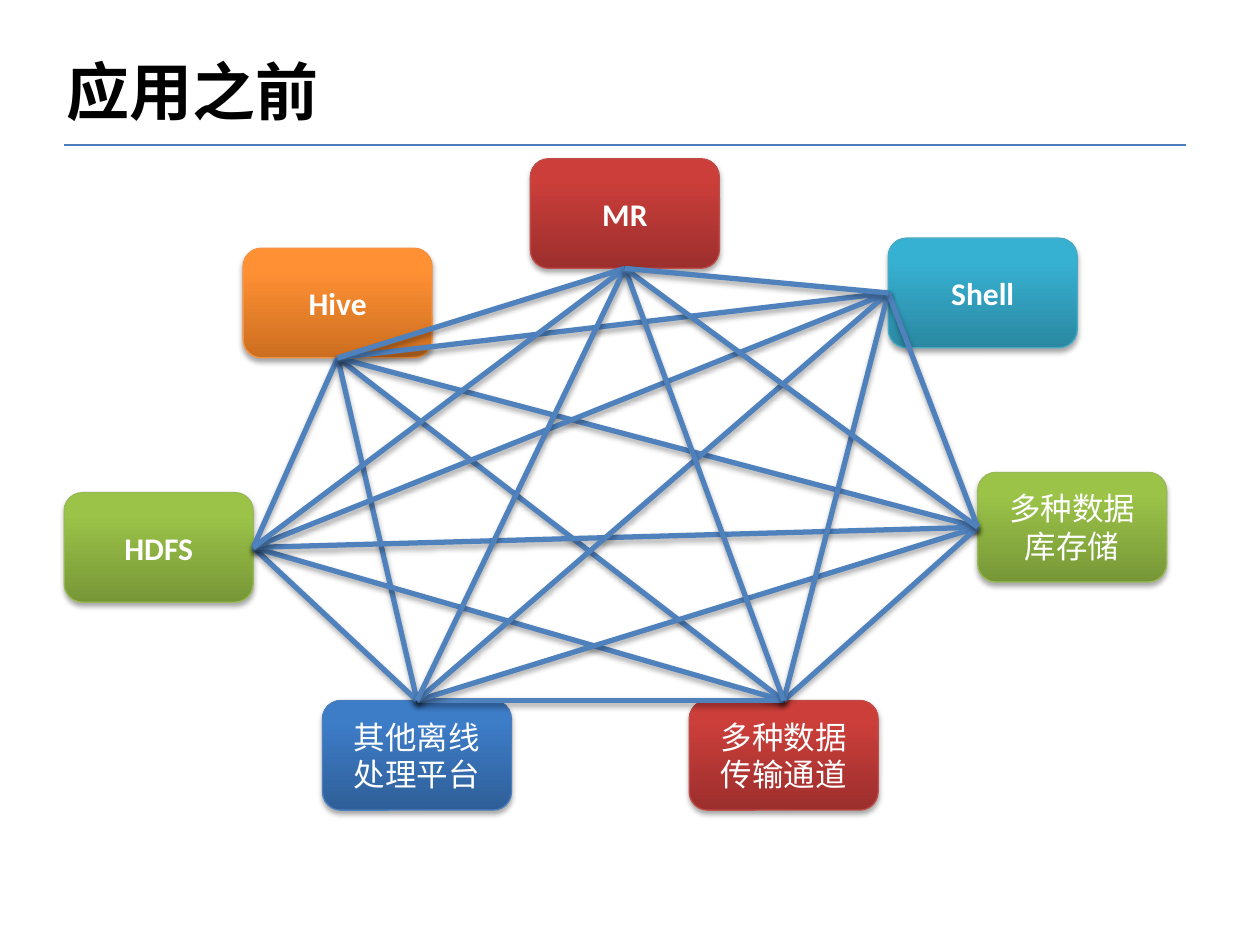
from itertools import combinations

from lxml.etree import SubElement
from pptx import Presentation
from pptx.dml.color import RGBColor
from pptx.enum.shapes import MSO_CONNECTOR, MSO_SHAPE
from pptx.enum.text import MSO_ANCHOR, PP_ALIGN
from pptx.oxml import parse_xml
from pptx.oxml.ns import nsdecls, qn
from pptx.util import Inches, Pt

LATIN_FONT = "Calibri"
CHINESE_FONT = "Noto Sans CJK SC"
BLACK = RGBColor(0x00, 0x00, 0x00)
WHITE = RGBColor(0xFF, 0xFF, 0xFF)
LINK_BLUE = RGBColor(0x4F, 0x81, 0xBD)
RULE_BLUE = RGBColor(0x4B, 0x7E, 0xBC)

# Each palette: gradient bottom, gradient top, outline
ORANGE = RGBColor(0xCC, 0x6E, 0x20), RGBColor(0xFF, 0x90, 0x34), RGBColor(0xF6, 0x92, 0x40)
GREEN = RGBColor(0x77, 0x97, 0x37), RGBColor(0x9B, 0xC3, 0x48), RGBColor(0x98, 0xB9, 0x55)
BLUE = RGBColor(0x2F, 0x5F, 0x99), RGBColor(0x3D, 0x7C, 0xC7), RGBColor(0x4B, 0x7E, 0xBC)
RED = RGBColor(0x9C, 0x2F, 0x2D), RGBColor(0xCB, 0x3E, 0x3A), RGBColor(0xBF, 0x4C, 0x48)
TEAL = RGBColor(0x2A, 0x88, 0xA2), RGBColor(0x37, 0xB1, 0xD2), RGBColor(0x46, 0xAA, 0xC5)

# Connection sites of a rounded rectangle
TOP, LEFT, BOTTOM, RIGHT = range(4)

NODE_WIDTH, NODE_HEIGHT = Inches(1.5), Inches(0.87)
# Label, left, top, palette, bold, site where the links meet
NODES = [
    ("Hive", 1.93, 1.97, ORANGE, True, BOTTOM),
    ("HDFS", 0.51, 3.91, GREEN, True, RIGHT),
    ("其他离线处理平台", 2.56, 5.56, BLUE, False, TOP),
    ("多种数据传输通道", 5.47, 5.56, RED, False, TOP),
    ("多种数据库存储", 7.76, 3.75, GREEN, False, LEFT),
    ("Shell", 7.05, 1.89, TEAL, True, LEFT),
    ("MR", 4.21, 1.26, RED, True, BOTTOM),
]


def set_effects(shape, shadow=True):
    """Give the shape a soft shadow below it, or no effect at all."""
    effects = parse_xml(f"<a:effectLst {nsdecls('a')}/>")
    if shadow:
        outer = SubElement(effects, qn("a:outerShdw"), blurRad="40000", dist="23000",
                           dir="5400000", rotWithShape="0")
        colour = SubElement(outer, qn("a:srgbClr"), val="000000")
        SubElement(colour, qn("a:alpha"), val="35000")
    shape._element.spPr.append(effects)


def format_text(paragraph, size, colour, bold, latin_font):
    for run in paragraph.runs:
        font = run.font
        font.size, font.bold, font.name = Pt(size), bold, latin_font
        font.color.rgb = colour
        SubElement(run._r.get_or_add_rPr(), qn("a:ea"), typeface=CHINESE_FONT)


def add_title(slide, text):
    title = slide.shapes.title
    title.left, title.top = Inches(0.43), Inches(0.36)
    title.width, title.height = Inches(5.67), Inches(0.71)
    title.text_frame.text = text
    title.text_frame.vertical_anchor = MSO_ANCHOR.MIDDLE
    paragraph = title.text_frame.paragraphs[0]
    paragraph.alignment = PP_ALIGN.LEFT
    format_text(paragraph, 36, BLACK, True, CHINESE_FONT)


def add_node(slide, label, left, top, palette, bold):
    bottom_colour, top_colour, outline = palette
    node = slide.shapes.add_shape(MSO_SHAPE.ROUNDED_RECTANGLE, Inches(left), Inches(top),
                                  NODE_WIDTH, NODE_HEIGHT)
    node.fill.gradient()
    node.fill.gradient_angle = 90
    stops = node.fill.gradient_stops
    for stop, colour, position in zip(stops, (bottom_colour, top_colour), (0, 0.8)):
        stop.color.rgb = colour
        stop.position = position
    node.line.color.rgb = outline
    node.line.width = Pt(0.75)
    set_effects(node)
    node.text_frame.text = label
    node.text_frame.word_wrap = True
    node.text_frame.vertical_anchor = MSO_ANCHOR.MIDDLE
    paragraph = node.text_frame.paragraphs[0]
    paragraph.alignment = PP_ALIGN.CENTER
    format_text(paragraph, 18, WHITE, bold, LATIN_FONT)
    return node


def add_line(slide, colour, width, ends=(0, 0, 0, 0)):
    line = slide.shapes.add_connector(MSO_CONNECTOR.STRAIGHT, *map(Inches, ends))
    line.line.color.rgb = colour
    line.line.width = Pt(width)
    return line


def link_nodes(slide, start, end):
    """Join two (node, site) pairs."""
    link = add_line(slide, LINK_BLUE, 3)
    link.begin_connect(*start)
    link.end_connect(*end)
    set_effects(link)


def main():
    presentation = Presentation()
    presentation.slide_width, presentation.slide_height = Inches(10), Inches(7.5)
    slide = presentation.slides.add_slide(presentation.slide_layouts[5])
    slide.background.fill.solid()
    slide.background.fill.fore_color.rgb = WHITE

    add_title(slide, "应用之前")
    rule = add_line(slide, RULE_BLUE, 1.5, (0.51, 1.15, 9.41, 1.15))
    set_effects(rule, shadow=False)

    anchors = [(add_node(slide, *node), site) for *node, site in NODES]
    for start, end in combinations(anchors, 2):
        link_nodes(slide, start, end)

    presentation.save("out.pptx")


if __name__ == "__main__":
    main()
